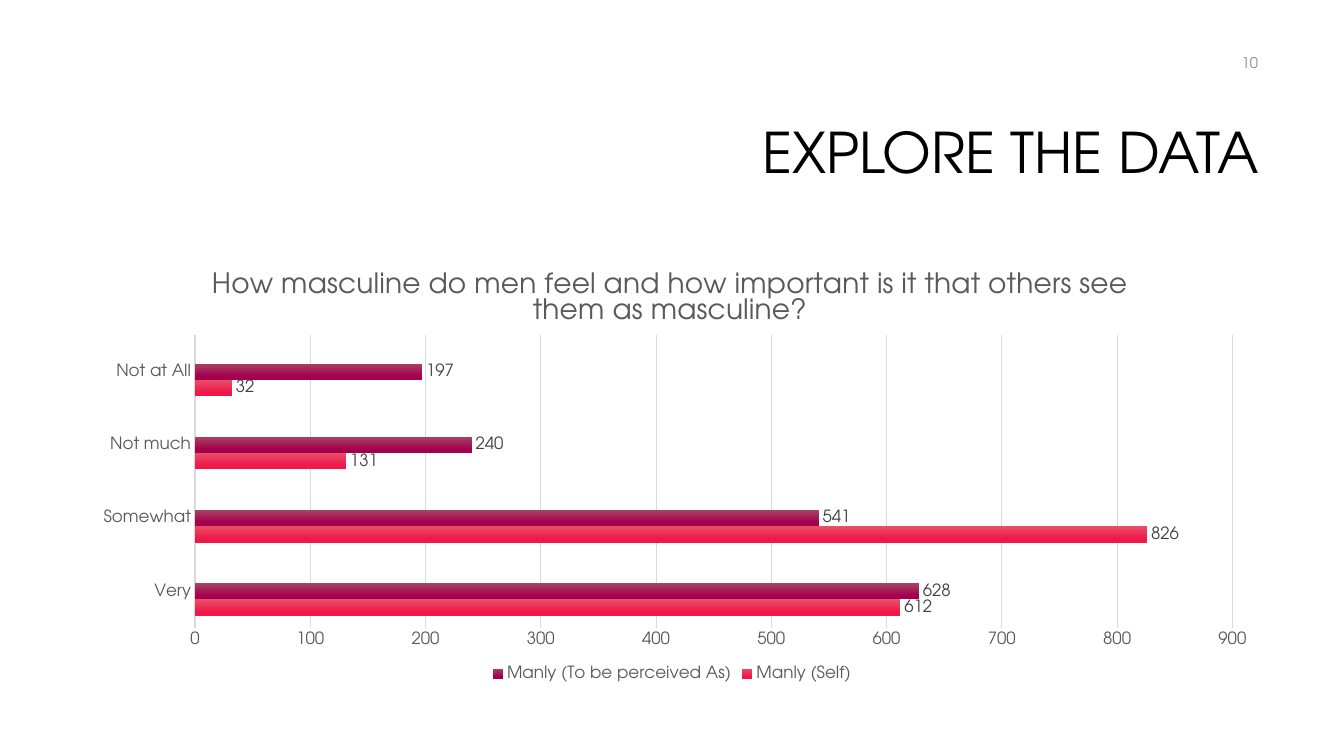
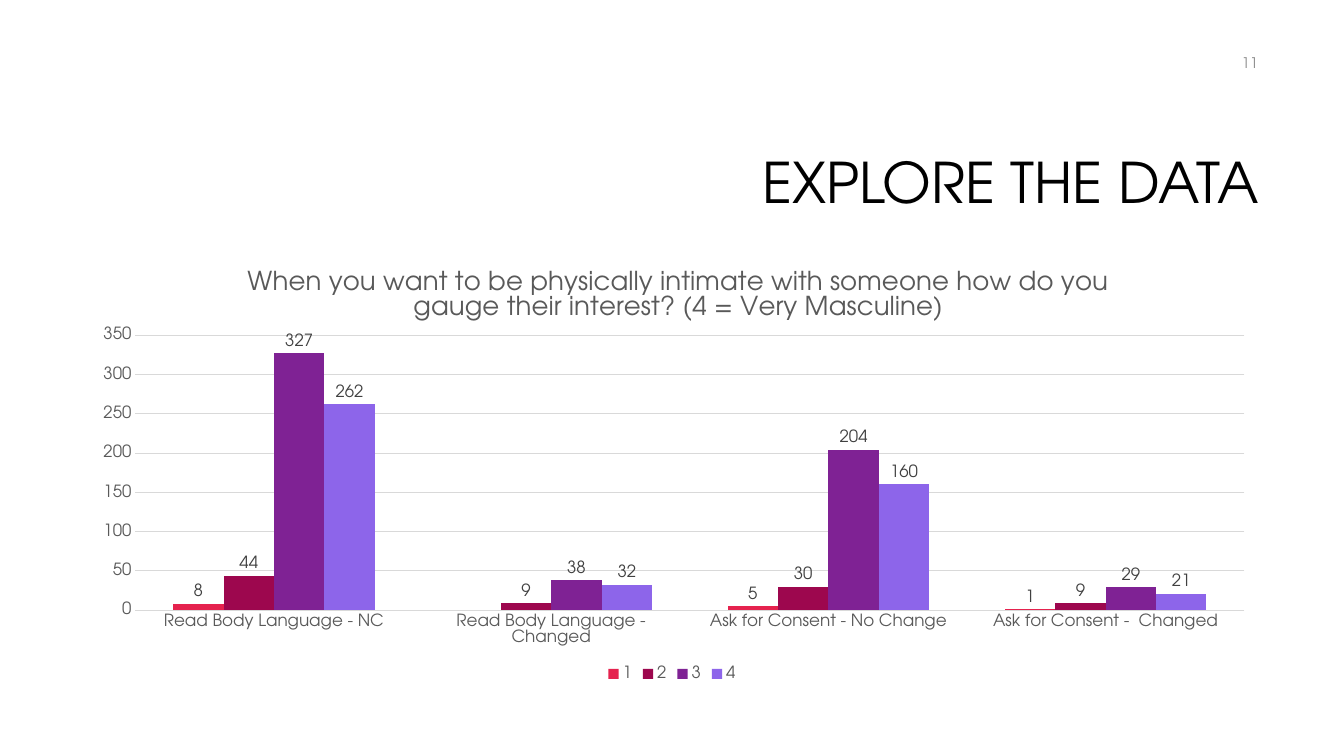
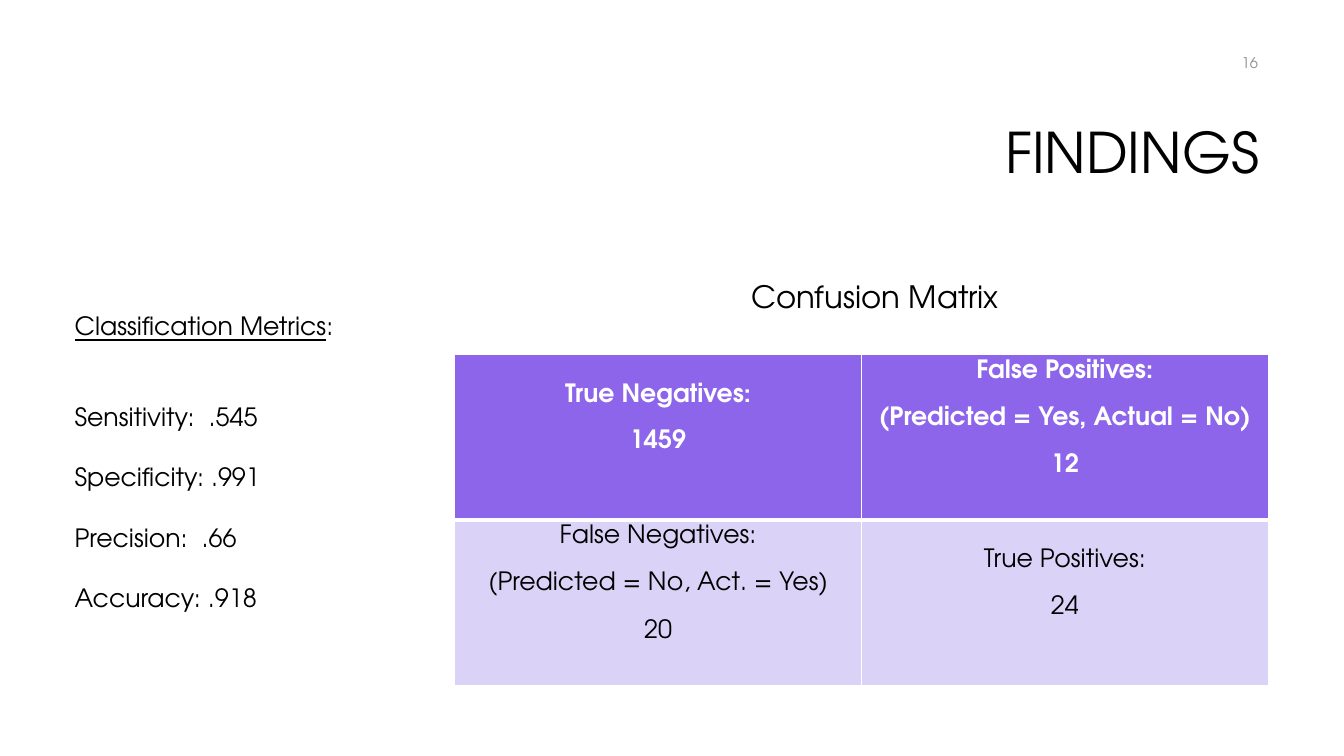
"""Builds three slides on a survey of masculinity: two charts and a confusion matrix."""
import lxml.etree
import pptx
import pptx.chart.data
import pptx.dml.color
import pptx.enum.chart
import pptx.enum.text
import pptx.oxml
import pptx.oxml.ns
import pptx.util

Cm = pptx.util.Cm
Pt = pptx.util.Pt
qn = pptx.oxml.ns.qn
ALIGN = pptx.enum.text.PP_ALIGN
ANCHOR = pptx.enum.text.MSO_ANCHOR
KIND = pptx.enum.chart.XL_CHART_TYPE

FACE = "TeX Gyre Adventor"
HUES = {
    "black": "000000", "white": "FFFFFF", "page": "8C8C8C",
    "axis": "595959", "label": "404040", "grid": "D9D9D9",
    "red": "E5224E", "wine": "9D074E", "plum": "7F2294", "violet": "8D65EA",
    "pale": "DBD3F7", "red top": "E84F68", "red low": "EF1849",
    "wine top": "A94263", "wine low": "A4004E",
    "plum top": "8D48A0", "plum low": "831C9A",
}


def hue(name):
    return pptx.dml.color.RGBColor.from_string(HUES[name])


def style(font, size, color, bold=False, under=None):
    font.name = FACE
    font.size = Pt(size)
    font.bold = bold
    font.underline = under
    font.color.rgb = hue(color)


def write(para, text, size=18, color="black", bold=False, under=None,
          align=ALIGN.LEFT, gap=None, pitch=None):
    run = para.add_run()
    run.text = text
    style(run.font, size, color, bold, under)
    para.alignment = align
    if gap:
        para.space_before = Pt(gap)
    if pitch:
        para.line_spacing = pitch


def add_box(slide, left, top, width, height, anchor=ANCHOR.TOP):
    frame = slide.shapes.add_textbox(Cm(left), Cm(top), Cm(width), Cm(height)).text_frame
    frame.word_wrap = True
    frame.vertical_anchor = anchor
    return frame


def add_page(deck, title, number, drop=0):
    slide = deck.slides.add_slide(deck.slide_layouts[6])
    head = add_box(slide, 8.05, 2.13 + drop, 23.93, 3.58, ANCHOR.MIDDLE)
    write(head.paragraphs[0], title, size=40, align=ALIGN.RIGHT, pitch=0.9)
    foot = add_box(slide, 24.33, 1.07, 7.62, 1.02, ANCHOR.MIDDLE)
    write(foot.paragraphs[0], str(number), size=10.5, color="page", align=ALIGN.RIGHT)
    return slide


def set_place(host, index, **spots):
    for old in host.findall(qn("c:layout")):
        host.remove(old)
    layout = lxml.etree.Element(qn("c:layout"))
    inner = lxml.etree.SubElement(layout, qn("c:manualLayout"))
    if "w" in spots:
        lxml.etree.SubElement(inner, qn("c:layoutTarget"), val="inner")
    for mode in ("xMode", "yMode"):
        lxml.etree.SubElement(inner, qn("c:" + mode), val="edge")
    for key, val in spots.items():
        lxml.etree.SubElement(inner, qn("c:" + key), val=str(val))
    host.insert(index, layout)


def paint(fill, colors):
    if len(colors) == 1:
        fill.solid()
        fill.fore_color.rgb = hue(colors[0])
        return
    fill.gradient()
    fill.gradient_angle = 270
    for stop, color, spot in zip(fill.gradient_stops, colors, (0, 0.78)):
        stop.color.rgb = hue(color)
        stop.position = spot


def set_axis(axis, line=None):
    axis.major_tick_mark = pptx.enum.chart.XL_TICK_MARK.NONE
    axis.minor_tick_mark = pptx.enum.chart.XL_TICK_MARK.NONE
    style(axis.tick_labels.font, 12, "axis")
    if line:
        axis.format.line.color.rgb = hue(line)
        axis.format.line.width = Pt(1)
    else:
        axis.format.line.fill.background()


def add_graph(slide, kind, title, size, title_x, groups, rows, plot_at, top, step, line=None):
    data = pptx.chart.data.CategoryChartData()
    data.categories = groups
    for name, vals, colors in rows:
        data.add_series(name, vals)
    chart = slide.shapes.add_chart(kind, Cm(1.91), Cm(6.1), Cm(30.05), Cm(11.18), data).chart
    style(chart.font, 10, "black")

    chart.has_title = True
    write(chart.chart_title.text_frame.paragraphs[0], title, size=size,
          color="axis", align=ALIGN.CENTER)
    chart.chart_title.include_in_layout = False
    set_place(chart.chart_title._element, 1, x=title_x, y=0.05)

    chart.has_legend = True
    chart.legend.position = pptx.enum.chart.XL_LEGEND_POSITION.BOTTOM
    chart.legend.include_in_layout = False
    style(chart.legend.font, 12, "axis")

    set_axis(chart.category_axis, line)
    scale = chart.value_axis
    set_axis(scale)
    scale.minimum_scale, scale.maximum_scale, scale.major_unit = 0, top, step
    scale.has_major_gridlines = True
    scale.major_gridlines.format.line.color.rgb = hue("grid")
    scale.major_gridlines.format.line.width = Pt(0.75)

    plot = chart.plots[0]
    plot.vary_by_categories = False
    plot.gap_width = 150
    plot.overlap = 0
    for bars, (name, vals, colors) in zip(plot.series, rows):
        bars.invert_if_negative = False
        paint(bars.format.fill, colors)
        labels = bars.data_labels
        labels.show_value = True
        labels.position = pptx.enum.chart.XL_LABEL_POSITION.OUTSIDE_END
        style(labels.font, 12, "label")
    area = chart._chartSpace.find(qn("c:chart")).find(qn("c:plotArea"))
    set_place(area, 0, **plot_at)
    return chart


def hide_key(chart, index):
    entry = lxml.etree.Element(qn("c:legendEntry"))
    lxml.etree.SubElement(entry, qn("c:idx"), val=str(index))
    lxml.etree.SubElement(entry, qn("c:delete"), val="1")
    chart.legend._element.insert(1, entry)


def set_edge(cell, side, width):
    edge = lxml.etree.SubElement(cell._tc.get_or_add_tcPr(), qn("a:ln" + side),
                                 w=str(Pt(width)))
    fill = lxml.etree.SubElement(edge, qn("a:solidFill"))
    lxml.etree.SubElement(fill, qn("a:srgbClr"), val=HUES["white"])


def add_grid(slide, rows):
    grid = slide.shapes.add_table(2, 2, Cm(11.46), Cm(8.94), Cm(20.5), Cm(8.33)).table
    looks = (("violet", "white", True), ("pale", "black", False))
    for r, (row, (back, ink, bold)) in enumerate(zip(rows, looks)):
        for c, lines in enumerate(row):
            cell = grid.cell(r, c)
            for side in "LRTB":
                middle = side == "BT"[r]
                set_edge(cell, side, 3 if middle else 1)
            paint(cell.fill, [back])
            cell.margin_top = Cm(0.13 if len(lines) == 3 else 0.72)
            frame = cell.text_frame
            for i, text in enumerate(lines):
                para = frame.add_paragraph() if i else frame.paragraphs[0]
                write(para, text, color=ink, bold=bold, align=ALIGN.CENTER,
                      gap=16.8 if i else None)


def add_facts(slide, head, facts):
    frame = add_box(slide, 1.63, 7.7, 9.83, 7.95)
    write(frame.paragraphs[0], head, under=True)
    write(frame.paragraphs[0], ":")
    for i, text in enumerate(facts):
        write(frame.add_paragraph(), text, gap=21.6 if i else 43.2)


def main():
    deck = pptx.Presentation()
    deck.slide_width, deck.slide_height = Cm(33.87), Cm(19.05)

    slide = add_page(deck, "EXPLORE THE DATA", 10)
    chart = add_graph(
        slide, KIND.BAR_CLUSTERED,
        "How masculine do men feel and how important is it that others see them as masculine?",
        20, 0.11, ["Very", "Somewhat", "Not much", "Not at All"],
        [("Manly (Self)", (612, 826, 131, 32), ("red top", "red low")),
         ("Manly (To be perceived As)", (628, 541, 240, 197), ("wine top", "wine low")),
         ("Column1", (None,) * 4, ("plum top", "plum low"))],
        dict(x=0.1, y=0.21, w=0.87, h=0.66), 900, 100, line="grid")
    hide_key(chart, 0)

    slide = add_page(deck, "EXPLORE THE DATA", 11, drop=0.76)
    add_graph(
        slide, KIND.COLUMN_CLUSTERED,
        "When you want to be physically intimate with someone how do you "
        "gauge their interest? (4 = Very Masculine)",
        18.6, 0.14,
        ["Read Body Language - NC", "Read Body Language - Changed",
         "Ask for Consent - No Change", "Ask for Consent -  Changed"],
        [("1", (8, None, 5, 1), ["red"]), ("2", (44, 9, 30, 9), ["wine"]),
         ("3", (327, 38, 204, 29), ["plum"]), ("4", (262, 32, 160, 21), ["violet"])],
        dict(x=0.05, y=0.21, w=0.93, h=0.62), 350, 50)

    slide = add_page(deck, "FINDINGS", 16)
    head = add_box(slide, 11.46, 6.99, 21.18, 1.5)
    write(head.paragraphs[0], "Confusion Matrix", size=22, align=ALIGN.CENTER, pitch=0.9)
    add_grid(slide, [
        [["True Negatives:", "1459"],
         ["False Positives:", "(Predicted = Yes, Actual = No)", "12"]],
        [["False Negatives:", "(Predicted = No, Act. = Yes)", "20"],
         ["True Positives:", "24"]]])
    add_facts(slide, "Classification Metrics", [
        "Sensitivity:  .545", "Specificity: .991", "Precision:  .66", "Accuracy: .918"])

    deck.save("out.pptx")


if __name__ == "__main__":
    main()
